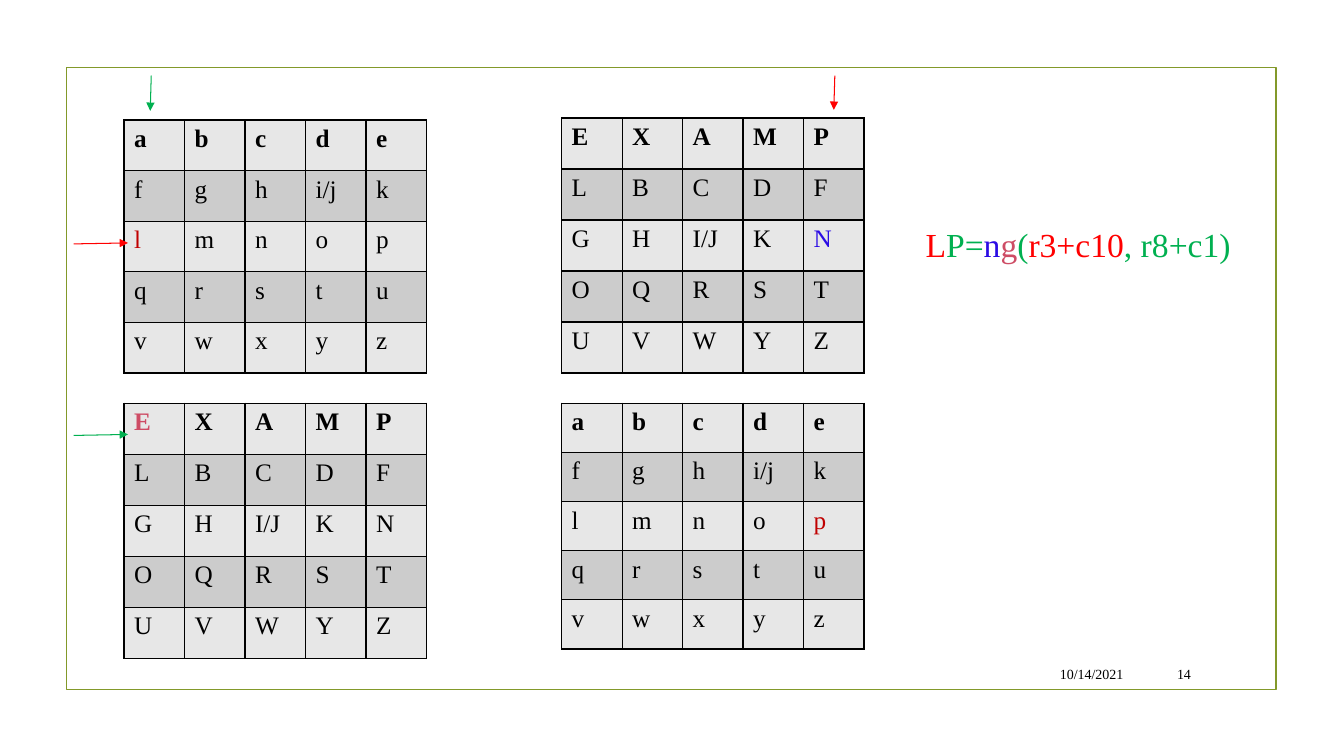
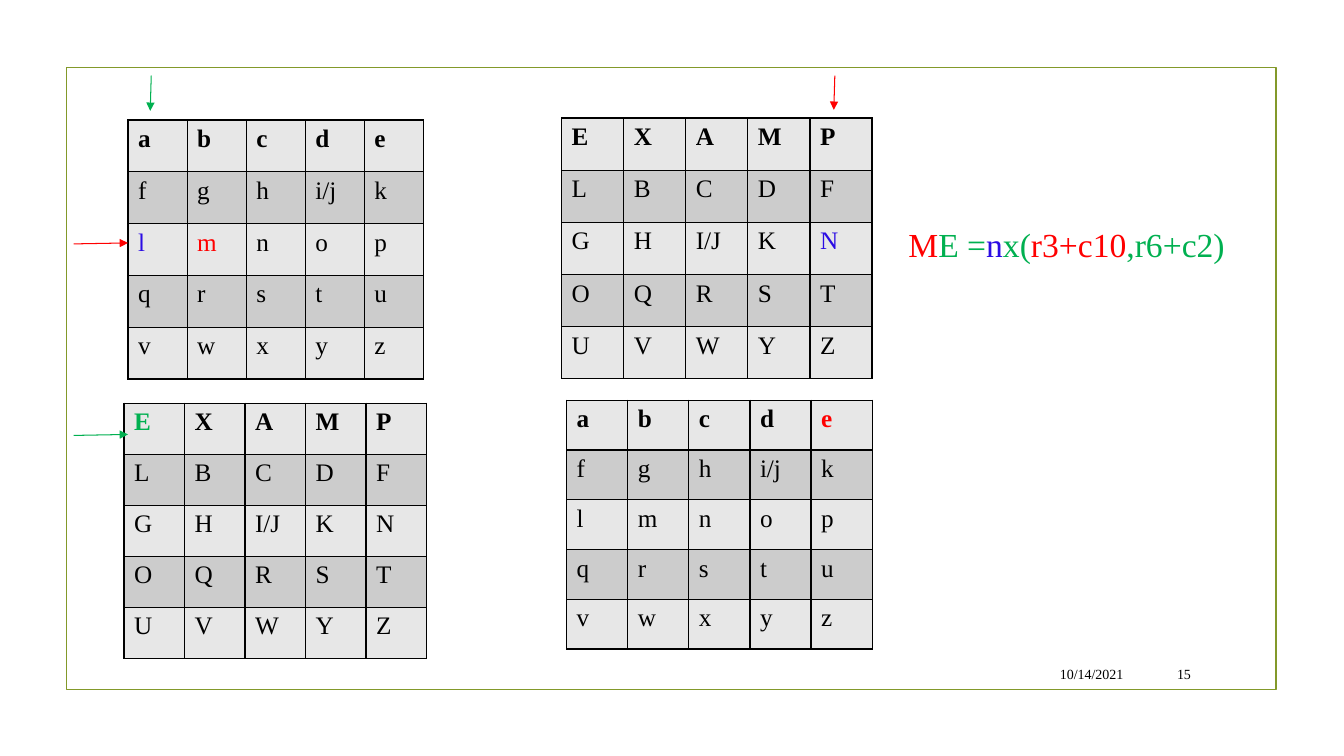
"""Build two slides that encrypt a letter pair with four cipher squares."""
from pptx import Presentation
from pptx.dml.color import RGBColor
from pptx.enum.shapes import MSO_CONNECTOR, MSO_SHAPE
from pptx.enum.text import MSO_ANCHOR, MSO_AUTO_SIZE, PP_ALIGN
from pptx.oxml import parse_xml
from pptx.oxml.ns import nsdecls, qn
from pptx.util import Pt
from lxml.etree import SubElement

PX = 9144
FONT = "Times New Roman"
BLACK = RGBColor(0x00, 0x00, 0x00)
RED = RGBColor(0xFF, 0x00, 0x00)
DARK_RED = RGBColor(0xC0, 0x00, 0x00)
GREEN = RGBColor(0x00, 0xB0, 0x50)
BLUE = RGBColor(0x2B, 0x0C, 0xE4)
PINK = RGBColor(0xCE, 0x4C, 0x65)
OLIVE = RGBColor(0x83, 0x99, 0x2A)
ROW_FILLS = (RGBColor(0xE7, 0xE7, 0xE7), RGBColor(0xCC, 0xCC, 0xCC))

PLAIN = ["a b c d e", "f g h i/j k", "l m n o p", "q r s t u", "v w x y z"]
KEYED = ["E X A M P", "L B C D F", "G H I/J K N", "O Q R S T", "U V W Y Z"]

FRAME = (66, 67, 1200, 617)
DATE = "10/14/2021"
DATE_BOX = (949, 653, 175, 31)
NUMBER_BOX = (1132, 653, 59, 31)
ARROWS = [
    ((73, 242), (127, 241), RED),
    ((828, 75), (827, 109), RED),
    ((73, 432), (127, 431), GREEN),
    ((150, 75), (149, 110), GREEN),
]

SLIDES = [
    {
        "number": "14",
        "title_box": (918, 217, 340, 50),
        "title": [("L", RED), ("P=", GREEN), ("n", BLUE), ("g", PINK), ("(", GREEN),
                  ("r3+c10", RED), (", r8+c1)", GREEN)],
        "squares": [
            (PLAIN, (123, 119, 300, 251), {"l": DARK_RED}),
            (KEYED, (557, 117, 300, 253), {"N": BLUE}),
            (PLAIN, (557, 400, 300, 244), {"p": DARK_RED}),
            (KEYED, (123, 400, 300, 253), {"E": PINK}),
        ],
    },
    {
        "number": "15",
        "title_box": (901, 217, 340, 50),
        "title": [("M", RED), ("E =", GREEN), ("n", BLUE), ("x(", GREEN),
                  ("r3+c10", RED), (",r6+c2)", GREEN)],
        "squares": [
            (PLAIN, (127, 119, 293, 257), {"l": BLUE, "m": RED}),
            (KEYED, (557, 117, 308, 259), {"N": BLUE}),
            (PLAIN, (562, 397, 303, 247), {"e": RED}),
            (KEYED, (123, 400, 300, 253), {"E": GREEN}),
        ],
    },
]


def scaled(lengths):
    return [length * PX for length in lengths]


def add_span(para, text, size, color, bold=False):
    span = para.add_run()
    span.text = text
    span.font.name = FONT
    span.font.size = Pt(size)
    span.font.bold = bold
    span.font.color.rgb = color


def fill_title(title, place, spans):
    title.left, title.top, title.width, title.height = scaled(place)
    frame = title.text_frame
    frame.word_wrap = True
    frame.auto_size = MSO_AUTO_SIZE.NONE
    frame.vertical_anchor = MSO_ANCHOR.MIDDLE
    frame.margin_left = frame.margin_right = 0
    para = frame.paragraphs[0]
    para.alignment = PP_ALIGN.LEFT
    for text, color in spans:
        add_span(para, text, 24, color)


def add_borders(cell):
    properties = cell._tc.get_or_add_tcPr()
    for index, side in enumerate(("lnL", "lnR", "lnT", "lnB")):
        properties.insert(index, parse_xml(
            f'<a:{side} {nsdecls("a")} w="{Pt(1)}"><a:solidFill>'
            f'<a:srgbClr val="{BLACK}"/></a:solidFill></a:{side}>'))


def add_square(page, rows, place, marks):
    letters = [row.split() for row in rows]
    size = len(letters)
    left, top, width, height = scaled(place)
    table = page.shapes.add_table(size, size, left, top, width, height).table
    table.first_row = table.horz_banding = False
    for column in table.columns:
        column.width = width // size
    for row_index, row in enumerate(letters):
        table.rows[row_index].height = height // size
        for column_index, letter in enumerate(row):
            cell = table.cell(row_index, column_index)
            cell.fill.solid()
            cell.fill.fore_color.rgb = ROW_FILLS[row_index % 2]
            add_borders(cell)
            add_span(cell.text_frame.paragraphs[0], letter, 18,
                     marks.get(letter, BLACK), row_index == 0)


def add_arrow(page, start, end, color):
    arrow = page.shapes.add_connector(MSO_CONNECTOR.STRAIGHT, *scaled(start + end))
    arrow.line.color.rgb = color
    arrow.line.width = Pt(0.75)
    SubElement(arrow.line._get_or_add_ln(), qn("a:tailEnd"), type="triangle")
    SubElement(arrow.element.spPr, qn("a:effectLst"))


def add_footer(page, text, place):
    box = page.shapes.add_textbox(*scaled(place))
    box.text_frame.word_wrap = True
    box.text_frame.vertical_anchor = MSO_ANCHOR.MIDDLE
    para = box.text_frame.paragraphs[0]
    para.alignment = PP_ALIGN.RIGHT
    add_span(para, text, 10, BLACK)


def add_frame(page):
    frame = page.shapes.add_shape(MSO_SHAPE.RECTANGLE, *scaled(FRAME))
    frame.shadow.inherit = False
    frame.fill.background()
    frame.line.color.rgb = OLIVE
    frame.line.width = Pt(1.25)


def build_slide(deck, content):
    page = deck.slides.add_slide(deck.slide_layouts[5])
    add_frame(page)
    fill_title(page.shapes.title, content["title_box"], content["title"])
    for rows, place, marks in content["squares"]:
        add_square(page, rows, place, marks)
    for start, end, color in ARROWS:
        add_arrow(page, start, end, color)
    add_footer(page, DATE, DATE_BOX)
    add_footer(page, content["number"], NUMBER_BOX)


def main():
    deck = Presentation()
    deck.slide_width, deck.slide_height = scaled((1333, 750))
    for content in SLIDES:
        build_slide(deck, content)
    deck.save("out.pptx")


if __name__ == "__main__":
    main()
